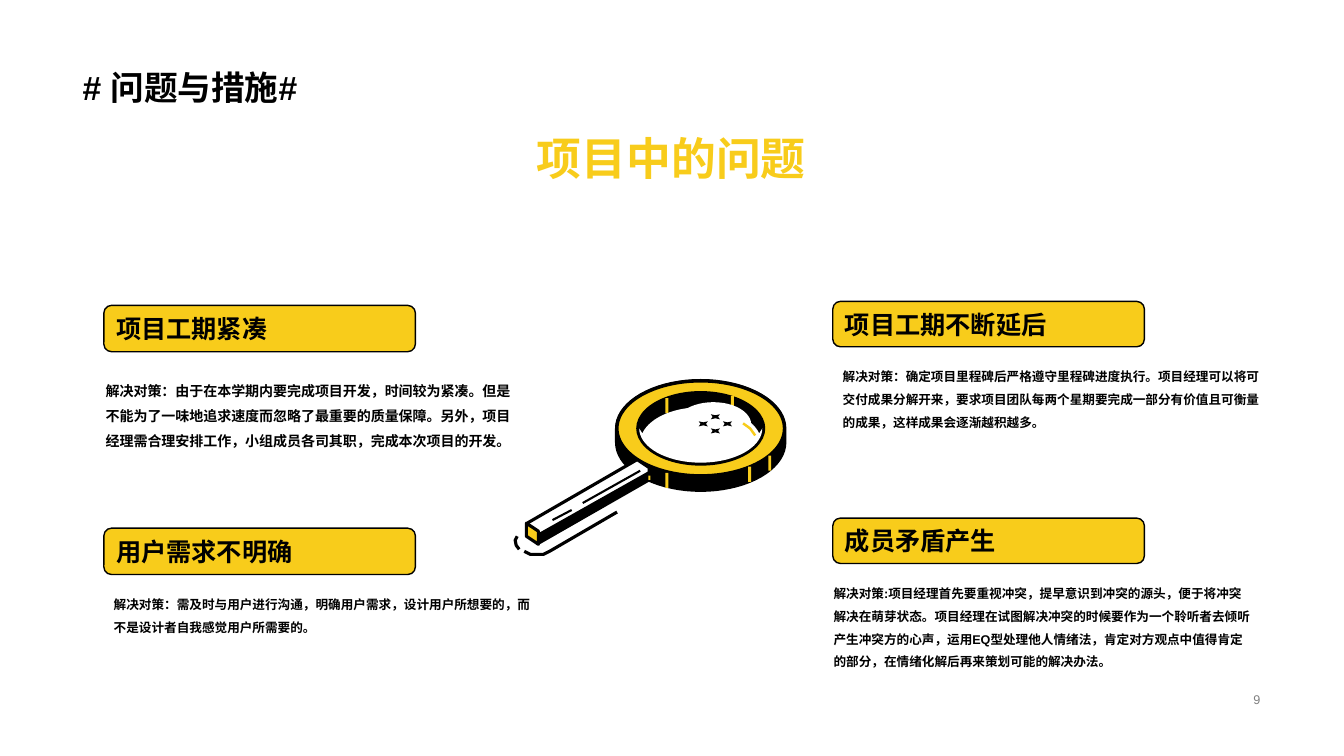
from math import cos, radians, sin

from pptx import Presentation
from pptx.dml.color import RGBColor
from pptx.enum.shapes import MSO_SHAPE
from pptx.enum.text import MSO_ANCHOR, PP_ALIGN
from pptx.util import Inches, Pt

RECT, OVAL, ROUND = MSO_SHAPE.RECTANGLE, MSO_SHAPE.OVAL, MSO_SHAPE.ROUNDED_RECTANGLE
LEFT, CENTER, RIGHT = PP_ALIGN.LEFT, PP_ALIGN.CENTER, PP_ALIGN.RIGHT
TOP, MIDDLE, BOTTOM = MSO_ANCHOR.TOP, MSO_ANCHOR.MIDDLE, MSO_ANCHOR.BOTTOM

COLORS = {"yellow": "F8CC1B", "black": "000000", "white": "FFFFFF", "gray": "808080"}
FONT = "Arial"

TITLE = "# 问题与措施#"
SUBTITLE = "项目中的问题"
PAGE = "9"

# heading, heading position, heading height, body, body position, body height, body size
CARDS = [
    ("成员矛盾产生", (8.26, 5.14), 0.45,
     "解决对策:项目经理首先要重视冲突，提早意识到冲突的源头，便于将冲突解决在萌芽状态。"
     "项目经理在试图解决冲突的时候要作为一个聆听者去倾听产生冲突方的心声，"
     "运用EQ型处理他人情绪法，肯定对方观点中值得肯定的部分，在情绪化解后再来策划可能的解决办法。",
     (8.17, 5.69), 0.98, 9),
    ("项目工期不断延后", (8.26, 2.99), 0.45,
     "解决对策：确定项目里程碑后严格遵守里程碑进度执行。项目经理可以将可交付成果分解开来，"
     "要求项目团队每两个星期要完成一部分有价值且可衡量的成果，这样成果会逐渐越积越多。",
     (8.26, 3.54), 0.76, 9),
    ("项目工期紧凑", (1.03, 3.03), 0.46,
     "解决对策：由于在本学期内要完成项目开发，时间较为紧凑。"
     "但是不能为了一味地追求速度而忽略了最重要的质量保障。"
     "另外，项目经理需合理安排工作，小组成员各司其职，完成本次项目的开发。",
     (0.95, 3.66), 0.85, 10),
    ("用户需求不明确", (1.03, 5.24), 0.46,
     "解决对策：需及时与用户进行沟通，明确用户需求，设计用户所想要的，而不是设计者自我感觉用户所需要的。",
     (1.03, 5.8), 0.54, 9),
]

# Magnifier: centre of the ring, depth of its rim, and parts (left, top, width, height)
RING_X, RING_Y, RIM = 6.95, 4.25, 0.14
RIM_MARKS = [(6.6, 4.69), (7.62, 4.52), (7.42, 4.63), (6.6, 3.95), (7.25, 3.93)]
SPARKLES = [(7.05, 4.25), (7.17, 4.18), (6.93, 4.18), (7.05, 4.11)]
SPARKLE_W, SPARKLE_H = 0.09, 0.05
HANDLE_TOP = [(5.23, 5.19), (6.32, 4.56), (6.44, 4.64), (6.44, 4.76), (5.34, 5.39)]
HANDLE_SIDE = [(6.44, 4.67), (6.44, 4.76), (5.34, 5.39), (5.34, 5.29)]
HANDLE_END = [(5.22, 5.19), (5.34, 5.27), (5.34, 5.4), (5.22, 5.32)]
STROKES = [  # points, colour, width
    ([(6.12, 5.08), (5.45, 5.47), (5.39, 5.5), (5.32, 5.5), (5.26, 5.5), (5.2, 5.47)],
     "black", 2.25),
    ([(5.15, 5.45), (5.12, 5.41), (5.11, 5.36), (5.13, 5.32)], "black", 2.25),
    ([(5.78, 4.99), (6.35, 4.67)], "black", 1.5),
    ([(5.48, 5.16), (5.67, 5.06)], "black", 1.5),
    ([(7.37, 4.2), (7.44, 4.25), (7.49, 4.32)], "yellow", 1.75),
]


def rgb(name):
    return RGBColor.from_string(COLORS[name])


def paint(s, fill=None, line=None, width=1.0):
    s.shadow.inherit = False
    if fill:
        s.fill.solid()
        s.fill.fore_color.rgb = rgb(fill)
    else:
        s.fill.background()
    if line:
        s.line.color.rgb = rgb(line)
        s.line.width = Pt(width)
    else:
        s.line.fill.background()
    return s


def write(s, text, size=9, color="black", bold=True, align=LEFT, anchor=MIDDLE, spacing=1.0):
    tf = s.text_frame
    tf.word_wrap = True
    tf.vertical_anchor = anchor
    p = tf.paragraphs[0]
    p.alignment = align
    p.line_spacing = spacing
    r = p.add_run()
    r.text = text
    r.font.name = FONT
    r.font.size = Pt(size)
    r.font.bold = bold
    r.font.color.rgb = rgb(color)


def add_text(shapes, box, text, **fmt):
    write(shapes.add_textbox(*map(Inches, box)), text, **fmt)


def add_preset(shapes, kind, box, **look):
    return paint(shapes.add_shape(kind, *map(Inches, box)), **look)


def add_path(shapes, points, closed=True, **look):
    pts = [(Inches(x), Inches(y)) for x, y in points]
    builder = shapes.build_freeform(*pts[0])
    builder.add_line_segments(pts[1:], close=closed)
    return paint(builder.convert_to_shape(), **look)


def arc(cy, rx, ry, start, end):
    """Points on an ellipse around the ring's x centre; angles run clockwise from the right."""
    step = 5 if end > start else -5
    return [(RING_X + rx * cos(radians(a)), cy + ry * sin(radians(a)))
            for a in range(start, end + step, step)]


def add_ring_oval(shapes, rx, ry, **look):
    add_preset(shapes, OVAL, (RING_X - rx, RING_Y - ry, 2 * rx, 2 * ry), **look)


def add_magnifier(shapes):
    rim = arc(RING_Y, 0.85, 0.49, 180, 360) + arc(RING_Y + RIM, 0.85, 0.49, 0, 180)
    add_path(shapes, rim, fill="black")
    add_ring_oval(shapes, 0.83, 0.47, fill="yellow", line="black", width=2.25)
    add_ring_oval(shapes, 0.64, 0.37, fill="black")
    for x, y in RIM_MARKS:
        add_preset(shapes, RECT, (x, y, 0.03, 0.15), fill="yellow")

    glass = arc(RING_Y + RIM, 0.6, 0.35, 195, 345) + arc(RING_Y, 0.61, 0.34, 0, 180)
    add_path(shapes, glass, fill="white")
    add_preset(shapes, OVAL, (6.7, 3.99, 0.75, 0.44), fill="white")

    add_path(shapes, HANDLE_TOP, fill="white", line="black", width=2.25)
    add_path(shapes, HANDLE_SIDE, fill="black")
    add_path(shapes, HANDLE_END, fill="yellow", line="black", width=2.25)
    add_preset(shapes, RECT, (6.43, 4.72, 0.02, 0.04), fill="yellow")
    for points, color, width in STROKES:
        add_path(shapes, points, closed=False, line=color, width=width)

    star = [(0, 0), (0.5, 0.2), (1, 0), (0.8, 0.5), (1, 1), (0.5, 0.8), (0, 1), (0.2, 0.5)]
    for x, y in SPARKLES:
        add_path(shapes, [(x + u * SPARKLE_W, y + v * SPARKLE_H) for u, v in star], fill="black")


def main():
    prs = Presentation()
    prs.slide_width, prs.slide_height = Inches(13.33), Inches(7.5)
    shapes = prs.slides.add_slide(prs.slide_layouts[6]).shapes

    add_text(shapes, (0.73, 1.24, 11.86, 0.64), SUBTITLE, size=32, color="yellow", align=CENTER)
    for heading, at, height, body, body_at, body_height, size in CARDS:
        s = add_preset(shapes, ROUND, (*at, 3.09, height), fill="yellow", line="black")
        write(s, heading, size=18)
        add_text(shapes, (*body_at, 4.34, body_height), body, size=size, anchor=TOP, spacing=1.5)
    add_text(shapes, (0.72, 0, 11.88, 1.12), TITLE, size=24, anchor=BOTTOM, spacing=0.9)
    add_magnifier(shapes.add_group_shape().shapes)
    add_text(shapes, (9.81, 6.82, 2.79, 0.23), PAGE, color="gray", bold=False, align=RIGHT)
    prs.save("out.pptx")


if __name__ == "__main__":
    main()
